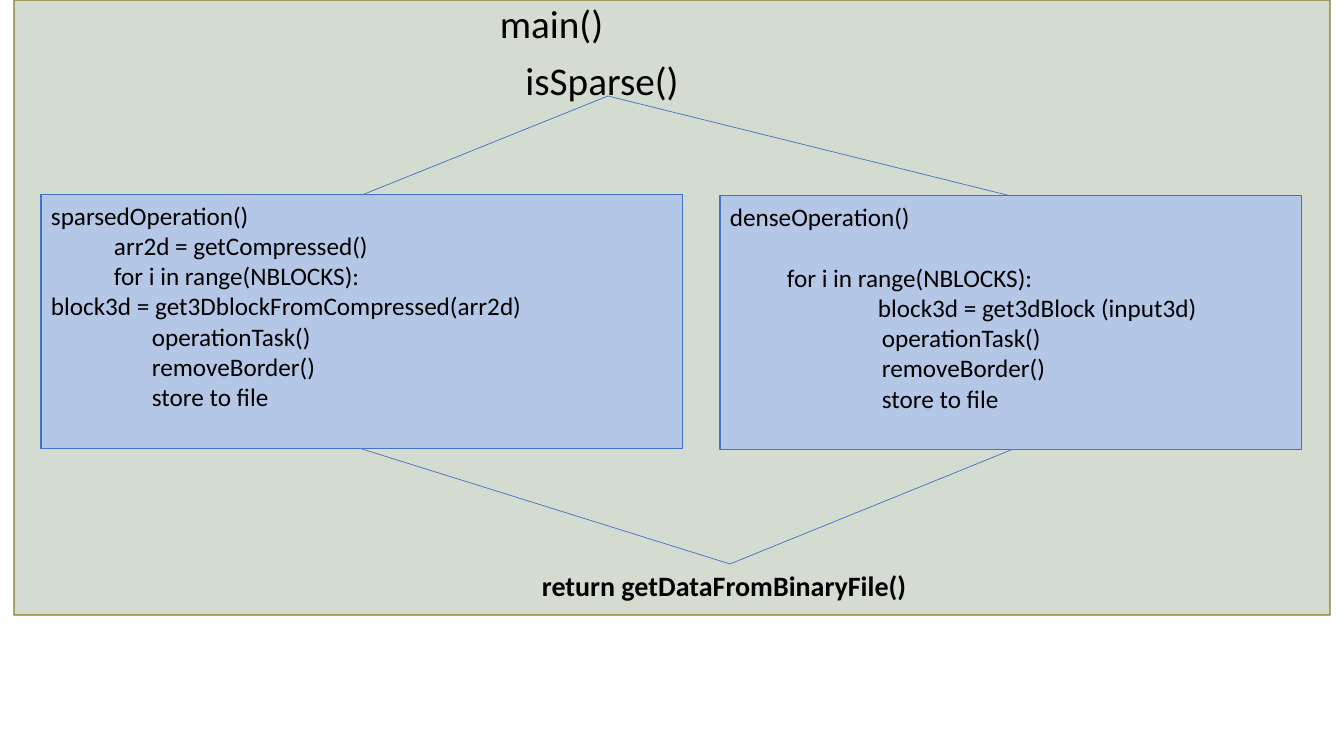
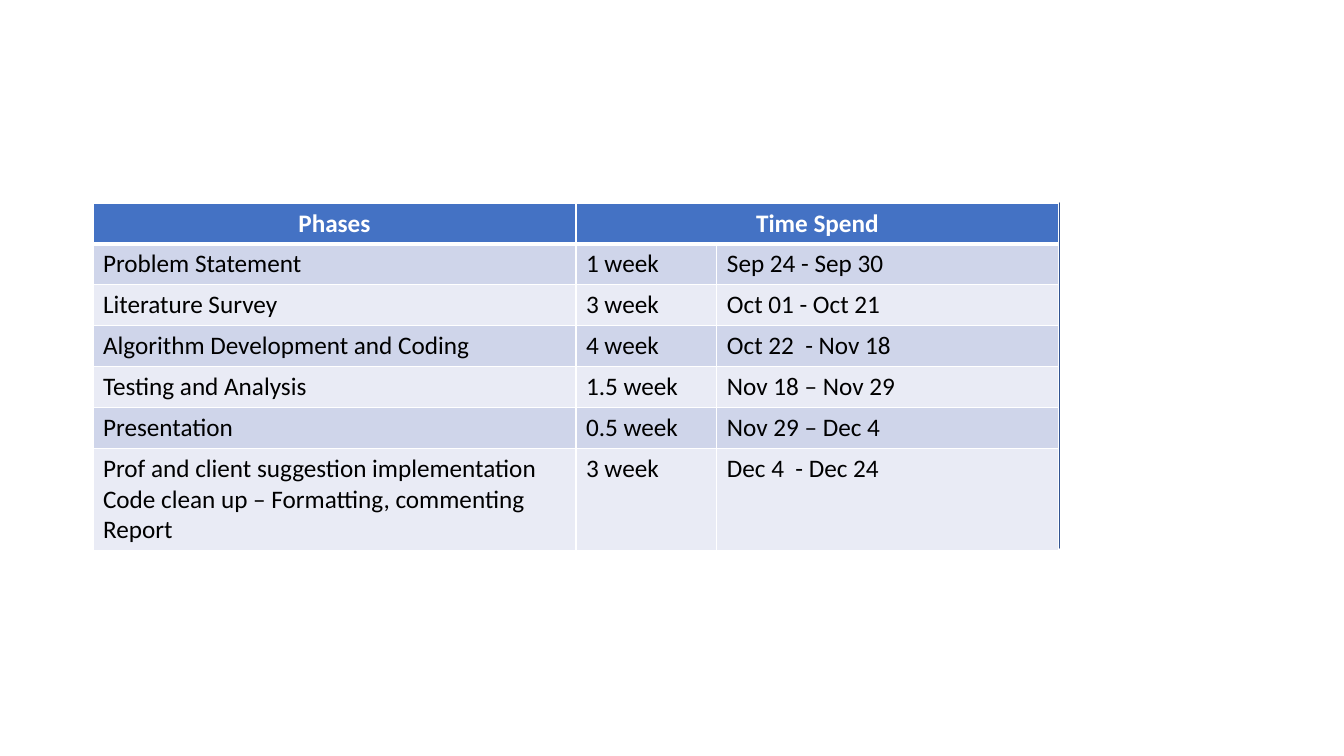
from dataclasses import dataclass

from lxml import etree
from pptx import Presentation
from pptx import util as u
from pptx.dml import color
from pptx.enum import shapes, text
from pptx.oxml import ns

SCALE = 914400 / 100.8  # EMU per pixel


def px(pixels):
    return u.Emu(round(pixels * SCALE))


@dataclass(frozen=True)
class Theme:
    font: str = "Calibri"
    ink: str = "000000"
    white: str = "FFFFFF"
    accent: str = "4472C4"
    accent_dark: str = "325491"
    box: str = "B4C7E7"
    panel: str = "385723"
    panel_line: str = "806000"
    bands: tuple = ("CFD5EA", "E9EBF5")
    title_size: int = 28
    result_size: int = 20
    body_size: int = 18


THEME = Theme()


def rgb(value):
    return color.RGBColor.from_string(value)


def set_alpha(fill_parent, percent):
    """Make the solid fill found directly under an element translucent."""
    value = fill_parent.find(ns.qn("a:solidFill"))[0]
    etree.SubElement(value, ns.qn("a:alpha"), val=str(percent * 1000))


class Deck:
    def __init__(self, theme):
        self.theme = theme
        self.presentation = Presentation()
        self.presentation.slide_width = px(1344)
        self.presentation.slide_height = px(756)
        self.slide = None

    def new_slide(self):
        layout = self.presentation.slide_layouts[6]
        self.slide = self.presentation.slides.add_slide(layout)

    def fill_text(self, frame, lines, size, ink=None, bold=False, align="LEFT"):
        """Each line is (text, indent in pixels, space before in points)."""
        frame.word_wrap = True
        for index, (words, indent, before) in enumerate(lines):
            paragraph = frame.paragraphs[0] if index == 0 else frame.add_paragraph()
            paragraph.alignment = getattr(text.PP_ALIGN, align)
            paragraph.space_before = u.Pt(before)
            if indent:
                paragraph._p.get_or_add_pPr().set("marL", str(px(indent)))
            run = paragraph.add_run()
            run.text = words
            font_format = {"name": self.theme.font, "size": u.Pt(size), "bold": bold}
            for name, value in font_format.items():
                setattr(run.font, name, value)
            run.font.color.rgb = rgb(ink or self.theme.ink)

    def box(self, area, fill, line, width, kind="RECTANGLE", alphas=None):
        preset = getattr(shapes.MSO_SHAPE, kind)
        shape = self.slide.shapes.add_shape(preset, *map(px, area))
        shape.shadow.inherit = False
        shape.fill.solid()
        shape.fill.fore_color.rgb = rgb(fill)
        shape.line.color.rgb = rgb(line)
        shape.line.width = u.Pt(width)
        if alphas:
            properties = shape._element.spPr
            set_alpha(properties, alphas[0])
            set_alpha(properties.find(ns.qn("a:ln")), alphas[1])
        return shape

    def code_box(self, area, lines):
        shape = self.box(area, self.theme.box, self.theme.accent, 0.75)
        shape.text_frame.vertical_anchor = text.MSO_ANCHOR.TOP
        self.fill_text(shape.text_frame, lines, self.theme.body_size)
        return shape

    def text(self, area, lines, size, spacing=1.0, **style):
        frame = self.slide.shapes.add_textbox(*map(px, area)).text_frame
        self.fill_text(frame, lines, size, **style)
        for paragraph in frame.paragraphs:
            paragraph.line_spacing = spacing

    def branch(self, shape, site, point):
        """Join a connection site of a shape to a free point."""
        end = tuple(map(px, point))
        connector = self.slide.shapes.add_connector(
            shapes.MSO_CONNECTOR.STRAIGHT, *end, *end)
        connector.begin_connect(shape, site)
        connector.line.color.rgb = rgb(self.theme.accent)
        connector.line.width = u.Pt(0.5)
        etree.SubElement(connector._element.spPr, ns.qn("a:effectLst"))

    def cell(self, cell, words, fill, bottom=1, **style):
        lines = [(line, 0, 0) for line in words.split("\n")]
        self.fill_text(cell.text_frame, lines, self.theme.body_size, **style)
        properties = cell._tc.get_or_add_tcPr()
        for side, width in {"L": 1, "R": 1, "T": 1, "B": bottom}.items():
            border = etree.SubElement(properties, ns.qn("a:ln" + side), w=str(u.Pt(width)))
            solid = etree.SubElement(border, ns.qn("a:solidFill"))
            etree.SubElement(solid, ns.qn("a:srgbClr"), val=self.theme.white)
        cell.fill.solid()
        cell.fill.fore_color.rgb = rgb(fill)

    def table(self, area, widths, heights, header, rows):
        frame = self.slide.shapes.add_table(len(heights), len(widths), *map(px, area))
        table = frame.table
        table.first_row = table.horz_banding = False
        for column, width in zip(table.columns, widths):
            column.width = px(width)
        for row, height in zip(table.rows, heights):
            row.height = px(height)
        # The last heading spans the remaining columns
        table.cell(0, len(header) - 1).merge(table.cell(0, len(widths) - 1))
        for index, words in enumerate(header):
            self.cell(table.cell(0, index), words, self.theme.accent, bottom=3,
                      ink=self.theme.white, bold=True, align="CENTER")
        for row_index, row in enumerate(rows):
            for index, words in enumerate(row):
                self.cell(table.cell(row_index + 1, index), words,
                          self.theme.bands[row_index % 2])


deck = Deck(THEME)

# Slide 1: program flow
deck.new_slide()
deck.box((14, 0, 1316, 615), THEME.panel, THEME.panel_line, 1,
         kind="FLOWCHART_PROCESS", alphas=(21, 84))
deck.text((14, 0, 1075, 110), [("main()", 0, 0), ("isSparse()", 101, 10)],
          THEME.title_size, spacing=0.9, align="CENTER")

sparse = deck.code_box((41, 195, 642, 254), [
    ("sparsedOperation()", 0, 0),
    ("arr2d = getCompressed()", 63, 0),
    ("for i in range(NBLOCKS):", 63, 0),
    ("block3d = get3DblockFromCompressed(arr2d)", 0, 0),
    ("operationTask()", 101, 0),
    ("removeBorder()", 101, 0),
    ("store to file", 101, 0),
])
dense = deck.code_box((720, 196, 582, 254), [
    ("denseOperation()", 0, 0),
    ("for i in range(NBLOCKS):", 57, 22),
    ("block3d = get3dBlock (input3d)", 148, 0),
    ("operationTask()", 152, 0),
    ("removeBorder()", 152, 0),
    ("store to file", 152, 0),
])

# Branches leave the check and meet at the result
TOP_SITE, BOTTOM_SITE = 0, 2
for operation in (sparse, dense):
    deck.branch(operation, TOP_SITE, (608, 96))
    deck.branch(operation, BOTTOM_SITE, (730, 564))
deck.text((532, 564, 397, 44), [("return getDataFromBinaryFile()", 0, 0)],
          THEME.result_size, bold=True)

# Slide 2: schedule
deck.new_slide()
schedule_area = (93, 203, 966, 345)
deck.box(schedule_area, THEME.accent, THEME.accent_dark, 1)
deck.table(schedule_area, (483, 141, 342), [40] * 6 + [102],
           ("Phases", "Time Spend"), [
    ("Problem Statement", "1 week", "Sep 24 - Sep 30"),
    ("Literature Survey", "3 week", "Oct 01 - Oct 21"),
    ("Algorithm Development and Coding", "4 week", "Oct 22  - Nov 18"),
    ("Testing and Analysis", "1.5 week", "Nov 18 – Nov 29"),
    ("Presentation", "0.5 week", "Nov 29 – Dec 4"),
    ("Prof and client suggestion implementation\n"
     "Code clean up – Formatting, commenting\nReport", "3 week", "Dec 4  - Dec 24"),
])

deck.presentation.save("out.pptx")
